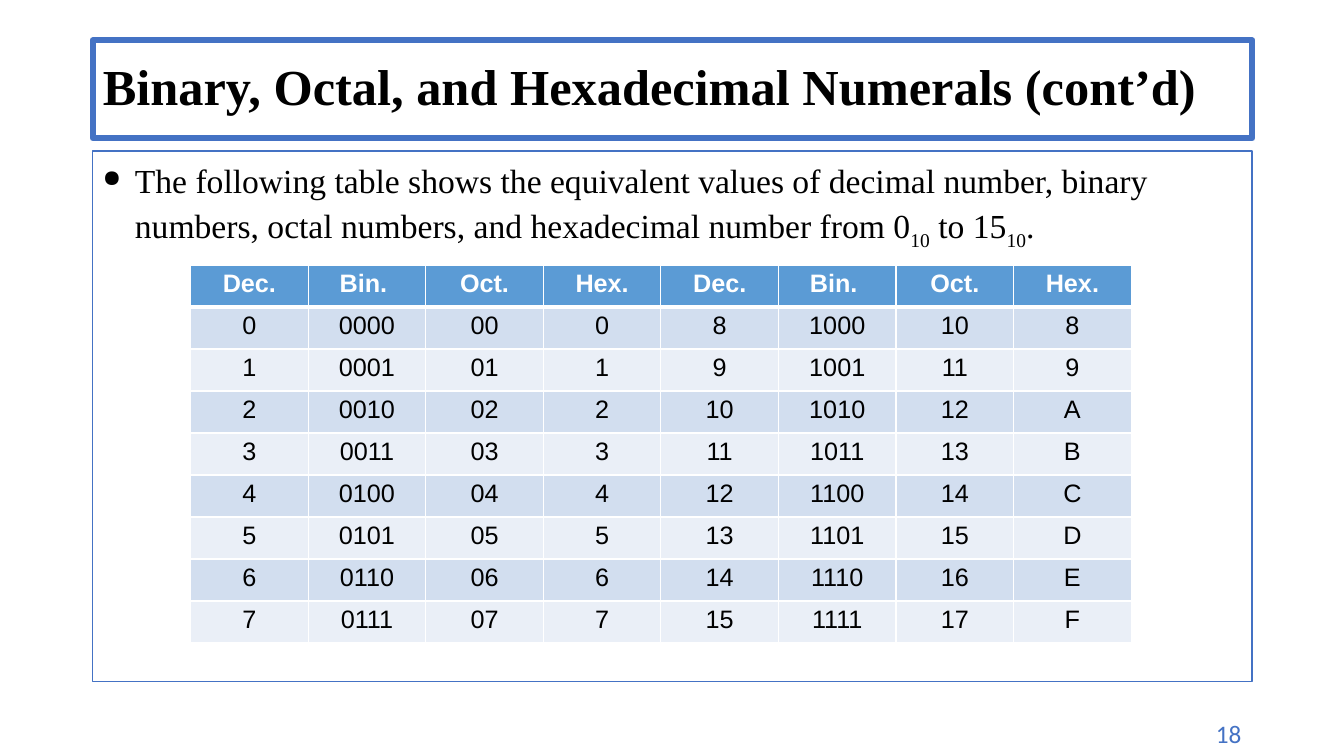
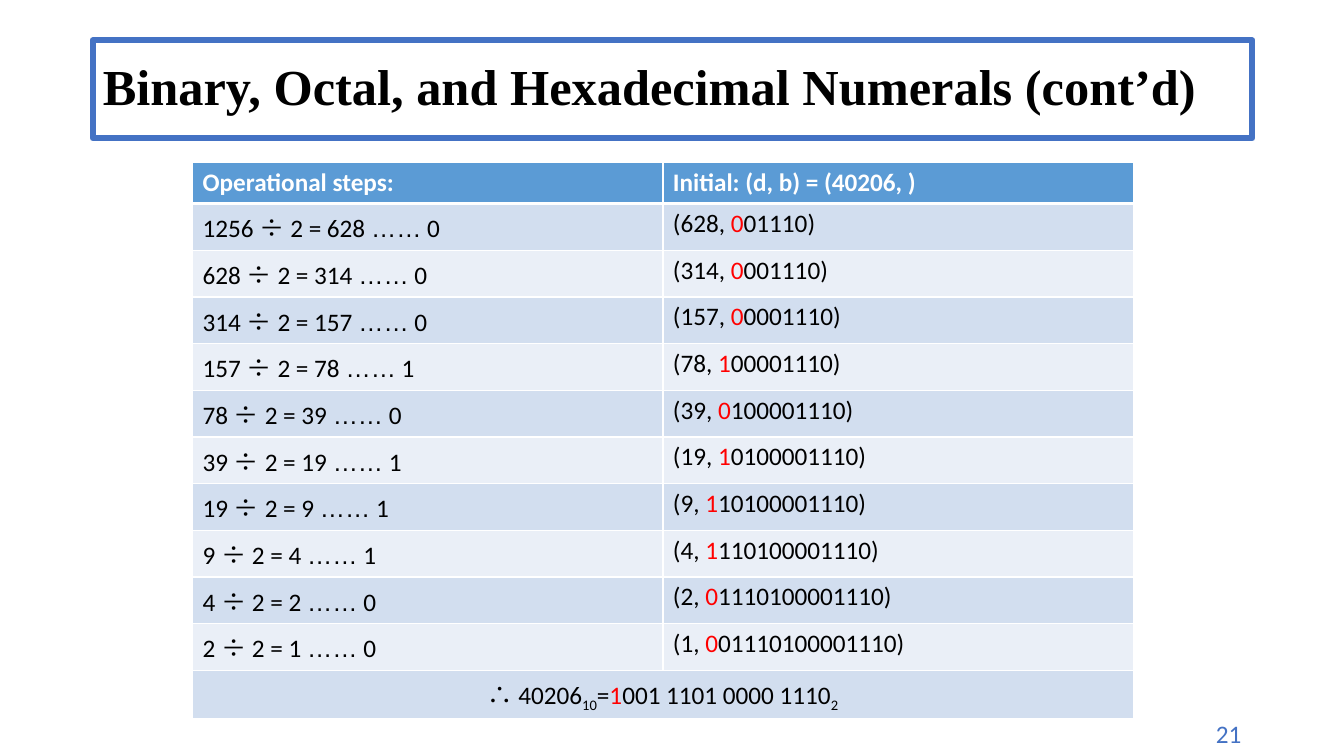
"""Builds two slides on binary, octal and hexadecimal numerals."""
from dataclasses import dataclass
from typing import Optional

from lxml.etree import SubElement
from pptx import Presentation
from pptx.dml.color import RGBColor
from pptx.enum.text import MSO_ANCHOR, PP_ALIGN
from pptx.oxml.ns import qn
from pptx.util import Inches, Pt

ACCENT = "4472C4"
HEADER_FILL = "5B9BD5"
BAND_FILLS = ("EAEFF7", "D2DEEF")
BLACK, WHITE, RED = "000000", "FFFFFF", "FF0000"
SERIF, SANS, BODY, SYMBOL = "Times New Roman", "Arial", "Calibri", "Noto Sans CJK SC"
TITLE = "Binary, Octal, and Hexadecimal Numerals (cont’d)"
FRAME_LEFT, FRAME_WIDTH, TABLE_WIDTH = 0.92, 11.5, 9.33


@dataclass(frozen=True)
class Span:
    """A piece of text; unset properties come from its table or box."""
    text: str
    font: Optional[str] = None
    color: Optional[str] = None
    subscript: bool = False


@dataclass(frozen=True)
class NumeralTable:
    """A banded table whose cells are lists of spans."""
    left: float
    top: float
    row_heights: list[float]
    font: str
    align: PP_ALIGN
    rows: list[list[list[Span]]]


def rgb(color: str) -> RGBColor:
    """Return the colour for a hex string."""
    return RGBColor.from_string(color)


def write_spans(paragraph, spans: list[Span], font: str, size: float,
                color: str = BLACK, bold: bool = False) -> None:
    """Write formatted spans into a paragraph."""
    for span in spans:
        run = paragraph.add_run()
        run.text = span.text
        run.font.size, run.font.bold = Pt(size), bold
        run.font.color.rgb = rgb(span.color or color)
        run.font.name = span.font or font
        properties = run.font._element
        SubElement(properties, qn("a:ea"), typeface=span.font or font)
        if span.subscript:
            properties.set("baseline", "-25000")


def outline(shape, width: float) -> None:
    """Give a shape the accent outline."""
    shape.line.color.rgb = rgb(ACCENT)
    shape.line.width = Pt(width)


def add_numeral_slide(prs, number: int):
    """Add a slide with the framed title and its page number."""
    slide = prs.slides.add_slide(prs.slide_layouts[5])
    title = slide.shapes.title
    title.left, title.top = Inches(FRAME_LEFT), Inches(0.4)
    title.width, title.height = Inches(FRAME_WIDTH), Inches(0.97)
    outline(title, 4.5)
    title.text_frame.vertical_anchor = MSO_ANCHOR.MIDDLE
    heading = title.text_frame.paragraphs[0]
    heading.alignment, heading.line_spacing = PP_ALIGN.LEFT, 0.9
    write_spans(heading, [Span(TITLE)], SERIF, 36, bold=True)

    page = slide.shapes.add_textbox(Inches(10.84), Inches(7.08), Inches(1.57), Inches(0.4))
    page.text_frame.word_wrap = True
    page_line = page.text_frame.paragraphs[0]
    page_line.alignment = PP_ALIGN.RIGHT
    write_spans(page_line, [Span(str(number))], BODY, 18, ACCENT)
    return slide


def add_statement(slide, spans: list[Span]) -> None:
    """Add the framed body with one bulleted statement."""
    body = slide.shapes.add_textbox(Inches(FRAME_LEFT), Inches(1.5),
                                    Inches(FRAME_WIDTH), Inches(5.26))
    outline(body, 1)
    body.text_frame.word_wrap = True
    statement = body.text_frame.paragraphs[0]
    statement.line_spacing = 1.1
    properties = statement._p.get_or_add_pPr()
    properties.set("marL", str(Inches(0.32)))
    properties.set("indent", str(-Inches(0.32)))
    SubElement(properties, qn("a:buSzPct"), val="70000")
    SubElement(properties, qn("a:buChar"), char="●")
    write_spans(statement, spans, SERIF, 24)


def set_borders(cell, top: float, bottom: float) -> None:
    """Draw white borders around a cell."""
    properties = cell._tc.get_or_add_tcPr()
    for side, width in (("L", 1), ("R", 1), ("T", top), ("B", bottom)):
        border = SubElement(properties, qn(f"a:ln{side}"), w=str(Pt(width)))
        fill = SubElement(border, qn("a:solidFill"))
        SubElement(fill, qn("a:srgbClr"), val=WHITE)


def add_numeral_table(slide, numerals: NumeralTable):
    """Add a table with a header row and banded rows."""
    rows, heights = numerals.rows, numerals.row_heights
    table = slide.shapes.add_table(
        len(rows), len(rows[0]), Inches(numerals.left), Inches(numerals.top),
        Inches(TABLE_WIDTH), Inches(sum(heights))).table
    for r, (row, height) in enumerate(zip(rows, heights)):
        header = r == 0
        table.rows[r].height = Inches(height)
        for c, spans in enumerate(row):
            cell = table.cell(r, c)
            set_borders(cell, 3 if r == 1 else 1, 3 if header else 1)
            cell.fill.solid()
            cell.fill.fore_color.rgb = rgb(HEADER_FILL if header else BAND_FILLS[r % 2])
            line = cell.text_frame.paragraphs[0]
            line.alignment = numerals.align
            write_spans(line, spans, numerals.font, 18, WHITE if header else BLACK, header)
    return table


def equivalent_rows() -> list[list[list[Span]]]:
    """List 0 to 15 in four bases, in two halves side by side."""
    rows = [["Dec.", "Bin. ", "Oct.", "Hex."] * 2]
    for low in range(8):
        rows.append([text for n in (low, low + 8)
                     for text in (str(n), f"{n:04b}", f"{n:02o}", f"{n:X}")])
    return [[[Span(text)] for text in row] for row in rows]


def division_rows(value: int, bits: str) -> list[list[list[Span]]]:
    """List the repeated divisions by two, newest bit in red."""
    rows = [[[Span("Operational steps:")], [Span("Initial: (d, b) = (40206, )")]]]
    while value > 1:
        quotient, bit = divmod(value, 2)
        step = [Span(f"{value} "), Span("÷", SYMBOL), Span(f" 2 = {quotient} "),
                Span("……", SANS), Span(f" {bit}")]
        state = [Span(f"({quotient}, "), Span(str(bit), color=RED), Span(f"{bits})")]
        rows.append([step, state])
        value, bits = quotient, f"{bit}{bits}"
    return rows


def main() -> None:
    """Build and save the presentation."""
    prs = Presentation()
    prs.slide_width, prs.slide_height = Inches(13.33), Inches(7.5)

    equivalents = add_numeral_slide(prs, 18)
    add_statement(equivalents, [
        Span("The following table shows the equivalent values of decimal number, binary "
             "numbers, octal numbers, and hexadecimal number from 0"),
        Span("10", subscript=True), Span(" to 15"), Span("10", subscript=True), Span(".")])
    add_numeral_table(equivalents, NumeralTable(
        1.89, 2.63, [3.75 / 9] * 9, SANS, PP_ALIGN.CENTER, equivalent_rows()))

    division = add_numeral_slide(prs, 21)
    conclusion = [Span("∴ ", SYMBOL), Span("40206"), Span("10", subscript=True), Span("="),
                  Span("1", color=RED), Span("001 1101 0000 1110"), Span("2", subscript=True)]
    steps = add_numeral_table(division, NumeralTable(
        1.91, 1.61, [0.41] + [4.63 / 10] * 10 + [0.48], BODY, PP_ALIGN.LEFT,
        division_rows(1256, "01110") + [[conclusion, []]]))
    result = steps.cell(len(steps.rows) - 1, 0)
    result.merge(steps.cell(len(steps.rows) - 1, 1))
    result.text_frame.paragraphs[0].alignment = PP_ALIGN.CENTER

    prs.save("out.pptx")


if __name__ == "__main__":
    main()
